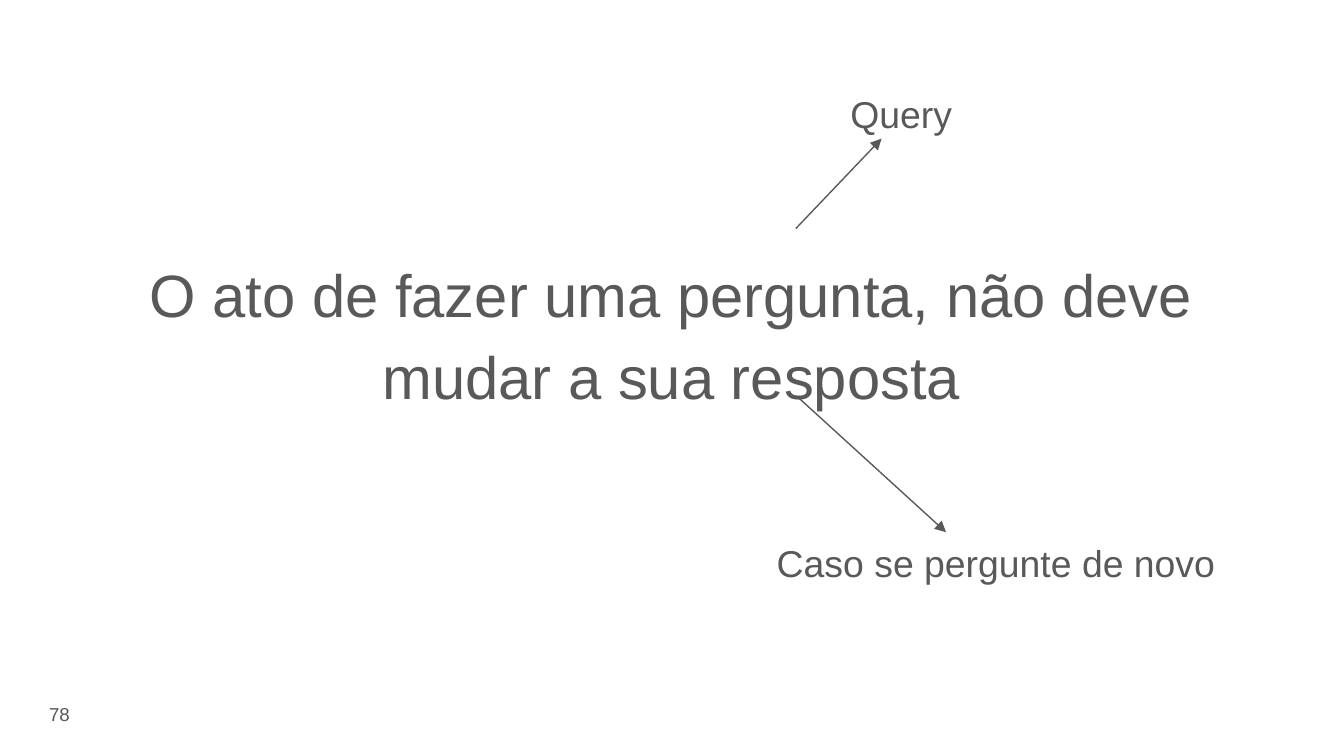
from lxml import etree
from pptx import Presentation
from pptx.dml.color import RGBColor
from pptx.enum.shapes import MSO_CONNECTOR
from pptx.enum.text import MSO_ANCHOR, PP_ALIGN
from pptx.oxml.ns import qn
from pptx.util import Cm, Pt

LEFT, CENTER, RIGHT = PP_ALIGN.LEFT, PP_ALIGN.CENTER, PP_ALIGN.RIGHT
TOP, MIDDLE = MSO_ANCHOR.TOP, MSO_ANCHOR.MIDDLE
STRAIGHT = MSO_CONNECTOR.STRAIGHT
GREY = RGBColor(0x59, 0x59, 0x59)
WHITE = RGBColor(0xFF, 0xFF, 0xFF)
INSET = 0.25

# Boxes and arrow ends are in centimetres.
TEXTS = [
    {"text": "O ato de fazer uma pergunta, não deve mudar a sua resposta",
     "box": (0.86, 4.7, 23.67, 3.05), "size": 32, "align": CENTER,
     "anchor": MIDDLE, "spacing": 1.15, "vertical_inset": 0},
    {"text": "78", "box": (0.05, 12.95, 1.52, 1.09), "size": 10,
     "align": RIGHT, "anchor": MIDDLE},
    {"text": "Query", "box": (15.82, 1.47, 9.5, 1.37), "size": 20},
    {"text": "Caso se pergunte de novo", "box": (14.43, 9.96, 10.82, 1.37),
     "size": 20},
]
ARROWS = [
    (15.04, 4.32, 16.66, 2.62),
    (15.06, 7.49, 17.88, 10.06),
]


def set_attributes(target, values):
    for name, value in values.items():
        setattr(target, name, value)


def add_text(slide, item):
    frame = slide.shapes.add_textbox(*map(Cm, item["box"])).text_frame
    vertical_inset = Cm(item.get("vertical_inset", INSET))
    set_attributes(frame, {
        "word_wrap": True,
        "vertical_anchor": item.get("anchor", TOP),
        "margin_left": Cm(INSET),
        "margin_right": Cm(INSET),
        "margin_top": vertical_inset,
        "margin_bottom": vertical_inset,
    })
    paragraph = frame.paragraphs[0]
    set_attributes(paragraph, {
        "text": item["text"],
        "alignment": item.get("align", LEFT),
        "line_spacing": item.get("spacing", 1.0),
    })
    font = paragraph.runs[0].font
    set_attributes(font, {"name": "Arial", "size": Pt(item["size"])})
    font.color.rgb = GREY


def add_arrow(slide, ends):
    connector = slide.shapes.add_connector(STRAIGHT, *map(Cm, ends))
    connector.line.color.rgb = GREY
    connector.line.width = Pt(0.75)
    etree.SubElement(connector.line._get_or_add_ln(), qn("a:tailEnd"),
                     type="triangle")
    etree.SubElement(connector._element.spPr, qn("a:effectLst"))


def main():
    presentation = Presentation()
    presentation.slide_width = Cm(25.4)
    presentation.slide_height = Cm(14.29)
    slide = presentation.slides.add_slide(presentation.slide_layouts[6])
    slide.background.fill.solid()
    slide.background.fill.fore_color.rgb = WHITE
    for item in TEXTS:
        add_text(slide, item)
    for ends in ARROWS:
        add_arrow(slide, ends)
    presentation.save("out.pptx")


if __name__ == "__main__":
    main()
